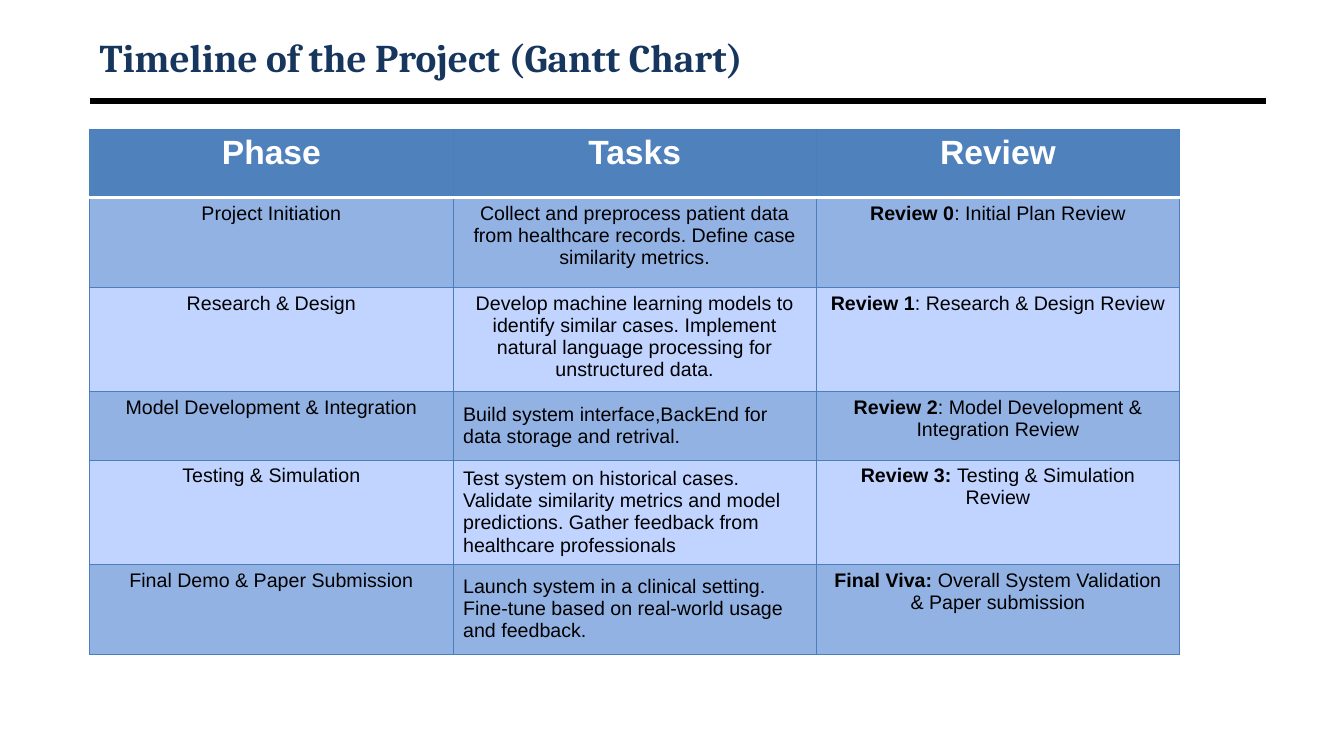
from lxml import etree
from pptx import Presentation
from pptx.dml.color import RGBColor
from pptx.enum import shapes, text
from pptx.oxml import ns
from pptx.util import Inches, Pt

TITLE = "Timeline of the Project (Gantt Chart)"
HEADERS = ("Phase", "Tasks", "Review")
PHASES = [
    ("Project Initiation",
     "Collect and preprocess patient data from healthcare records. Define case similarity metrics.",
     ("Review 0", ": Initial Plan Review")),
    ("Research & Design",
     "Develop machine learning models to identify similar cases. Implement natural language "
     "processing for unstructured data.",
     ("Review 1", ": Research & Design Review")),
    ("Model Development & Integration",
     "Build system interface,BackEnd for data storage and retrival.",
     ("Review 2", ": Model Development & Integration Review")),
    ("Testing & Simulation",
     "Test system on historical cases. Validate similarity metrics and model predictions. "
     "Gather feedback from healthcare professionals",
     ("Review 3: ", "Testing & Simulation Review")),
    ("Final Demo & Paper Submission",
     "Launch system in a clinical setting. Fine-tune based on real-world usage and feedback.",
     ("Final Viva: ", "Overall System Validation & Paper submission")),
]
ROW_HEIGHTS = (0.68, 0.89, 0.97, 0.68, 0.97, 0.89)
FIRST_LEFT_ALIGNED_TASK = 3

NAVY = RGBColor(0x17, 0x36, 0x5D)
BLACK = RGBColor(0, 0, 0)
WHITE = RGBColor(255, 255, 255)
HEADER_BLUE = RGBColor(0x4F, 0x81, 0xBD)
BORDER_BLUE = RGBColor(0x4B, 0x7E, 0xBC)
BAND_DARK = RGBColor(0x93, 0xB2, 0xE4)
BAND_LIGHT = RGBColor(0xC0, 0xD4, 0xFF)

LEFT, WIDTH = 0.89, 11.67
TABLE_TOP, TABLE_WIDTH = 1.28, 10.81


def style_run(span, font, size, color, bold):
    span.font.name = font
    span.font.size = Pt(size)
    span.font.color.rgb = color
    span.font.bold = bold


def set_border(cell, side, color, points):
    line = etree.SubElement(cell._tc.get_or_add_tcPr(), ns.qn(f"a:ln{side}"), w=str(Pt(points)))
    fill = etree.SubElement(line, ns.qn("a:solidFill"))
    etree.SubElement(fill, ns.qn("a:srgbClr"), val=str(color))


def fill_cell(cell, row, column, content):
    white_side = {0: "B", 1: "T"}.get(row)
    for side in "LRTB":
        if side == white_side:
            set_border(cell, side, WHITE, 2)
        else:
            set_border(cell, side, BORDER_BLUE, 0.75)
    cell.fill.solid()
    cell.fill.fore_color.rgb = HEADER_BLUE if row == 0 else BAND_DARK if row % 2 else BAND_LIGHT

    para = cell.text_frame.paragraphs[0]
    left_aligned = column == 1 and row >= FIRST_LEFT_ALIGNED_TASK
    para.alignment = text.PP_ALIGN.LEFT if left_aligned else text.PP_ALIGN.CENTER
    cell.vertical_anchor = text.MSO_ANCHOR.MIDDLE if left_aligned else text.MSO_ANCHOR.TOP
    parts = content if isinstance(content, tuple) else (content,)
    for index, words in enumerate(parts):
        span = para.add_run()
        span.text = words
        if row == 0:
            style_run(span, "Arial", 24, WHITE, True)
        else:
            style_run(span, "Arial", 14, BLACK, len(parts) > 1 and index == 0)


def add_title(page):
    rule = page.shapes.add_connector(
        shapes.MSO_CONNECTOR.STRAIGHT, Inches(LEFT), Inches(1), Inches(LEFT + WIDTH), Inches(1))
    rule.line.color.rgb = BLACK
    rule.line.width = Pt(4.5)
    etree.SubElement(rule._element.spPr, ns.qn("a:effectLst"))

    box = page.shapes.add_textbox(Inches(LEFT), Inches(0.3), Inches(WIDTH), Inches(0.53))
    frame = box.text_frame
    frame.word_wrap = True
    frame.vertical_anchor = text.MSO_ANCHOR.MIDDLE
    frame.text = TITLE
    style_run(frame.paragraphs[0].runs[0], "Cambria", 28, NAVY, True)


def add_timeline(page):
    rows = [HEADERS] + PHASES
    table = page.shapes.add_table(
        len(rows), len(HEADERS), Inches(LEFT), Inches(TABLE_TOP),
        Inches(TABLE_WIDTH), Inches(sum(ROW_HEIGHTS))).table
    for column in table.columns:
        column.width = Inches(TABLE_WIDTH / len(HEADERS))
    for row, (contents, height) in enumerate(zip(rows, ROW_HEIGHTS)):
        table.rows[row].height = Inches(height)
        for column, content in enumerate(contents):
            fill_cell(table.cell(row, column), row, column, content)


def main():
    deck = Presentation()
    deck.slide_width, deck.slide_height = Inches(13.33), Inches(7.5)
    page = deck.slides.add_slide(deck.slide_layouts[6])
    add_title(page)
    add_timeline(page)
    deck.save("out.pptx")


if __name__ == "__main__":
    main()
